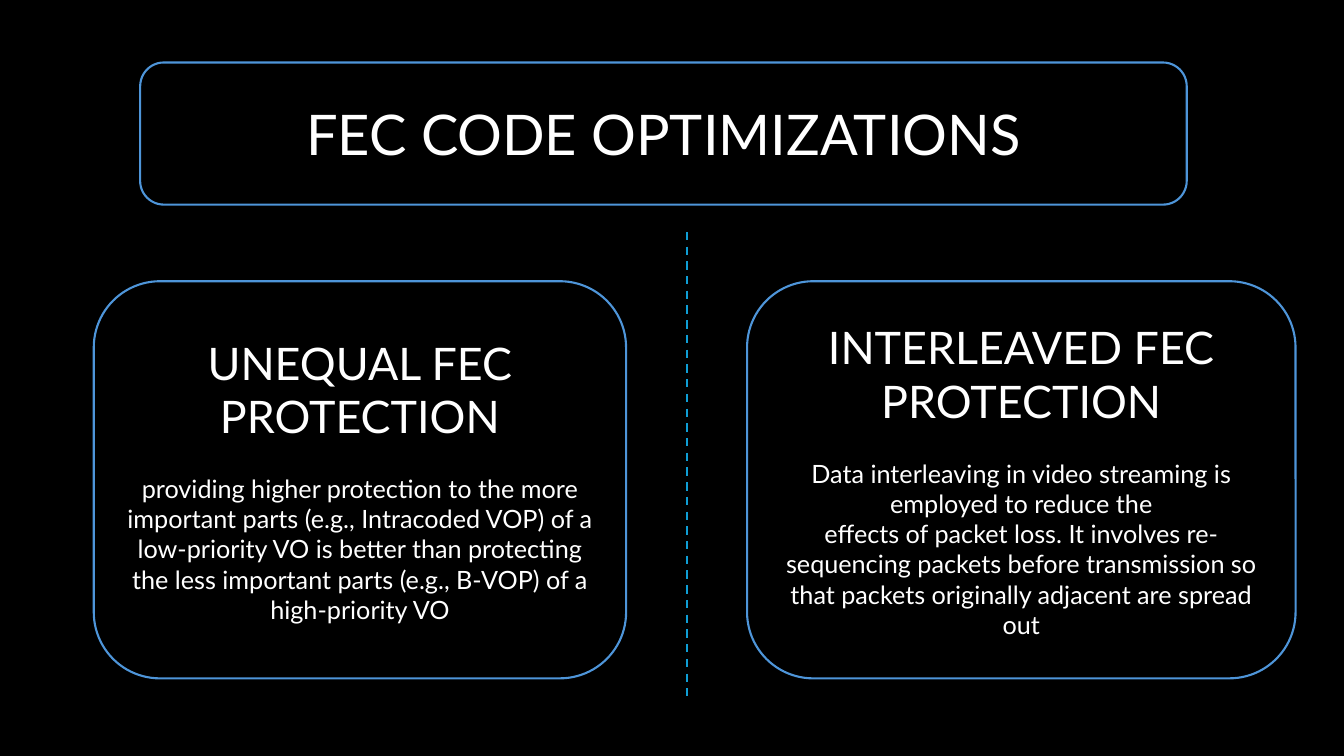
import pptx
import pptx.dml.color
import pptx.enum.dml
import pptx.enum.shapes
import pptx.enum.text
import pptx.oxml.ns
import pptx.util
from lxml import etree
from pptx.util import Inches

COLORS = {"background": "000000", "outline": "4E95D9", "divider": "0F9ED5", "text": "FFFFFF"}
FONT = "Lato"
BODY_SIZE = 18
HARD_SPACE = chr(160)


def rgb(name):
    return pptx.dml.color.RGBColor.from_string(COLORS[name])


def add_card(slide, left, top, width, height, lines):
    """Add a rounded outlined box; lines holds (text, size, space before) in points."""
    shape = slide.shapes.add_shape(
        pptx.enum.shapes.MSO_SHAPE.ROUNDED_RECTANGLE,
        Inches(left), Inches(top), Inches(width), Inches(height))
    shape.shadow.inherit = False
    shape.fill.solid()
    shape.fill.fore_color.rgb = rgb("background")
    shape.line.color.rgb = rgb("outline")
    shape.line.width = pptx.util.Pt(1.5)
    frame = shape.text_frame
    frame.word_wrap = True
    frame.vertical_anchor = pptx.enum.text.MSO_ANCHOR.MIDDLE
    for index, (text, size, space_before) in enumerate(lines):
        paragraph = frame.add_paragraph() if index else frame.paragraphs[0]
        paragraph.text = text
        paragraph.alignment = pptx.enum.text.PP_ALIGN.CENTER
        if space_before:
            paragraph.space_before = pptx.util.Pt(space_before)
        paragraph.font.name = FONT
        paragraph.font.size = pptx.util.Pt(size)
        paragraph.font.color.rgb = rgb("text")


presentation = pptx.Presentation()
presentation.slide_width = Inches(13.33)
presentation.slide_height = Inches(7.5)
slide = presentation.slides.add_slide(presentation.slide_layouts[6])
slide.background.fill.solid()
slide.background.fill.fore_color.rgb = rgb("background")

add_card(slide, 1.39, 0.62, 10.38, 1.41, [("FEC CODE OPTIMIZATIONS", 40, 0)])

divider = slide.shapes.add_connector(
    pptx.enum.shapes.MSO_CONNECTOR.STRAIGHT,
    Inches(6.81), Inches(2.3), Inches(6.81), Inches(6.9))
divider.line.color.rgb = rgb("divider")
divider.line.width = pptx.util.Pt(1.5)
divider.line.dash_style = pptx.enum.dml.MSO_LINE.DASH
etree.SubElement(divider._element.spPr, pptx.oxml.ns.qn("a:effectLst"))

packet_loss = HARD_SPACE.join(["effects", "of", "packet", "loss."])
high_priority = HARD_SPACE.join(["high-priority", "VO"])
methods = [
    (0.93, 5.28, "UNEQUAL FEC PROTECTION",
     "providing higher protection to the more important parts (e.g., Intracoded VOP) "
     "of a low-priority VO is better than protecting the less important parts "
     f"(e.g., B-VOP) of a {high_priority}"),
    (7.41, 5.44, "INTERLEAVED FEC PROTECTION",
     "Data interleaving in video streaming is employed to reduce the "
     f"{packet_loss} It involves re-sequencing packets before transmission "
     "so that packets originally adjacent are spread out"),
]
for left, width, heading, description in methods:
    add_card(slide, left, 2.79, width, 3.94,
             [(heading, 32, 0), (description, BODY_SIZE, 1.2 * BODY_SIZE)])

presentation.save("out.pptx")
